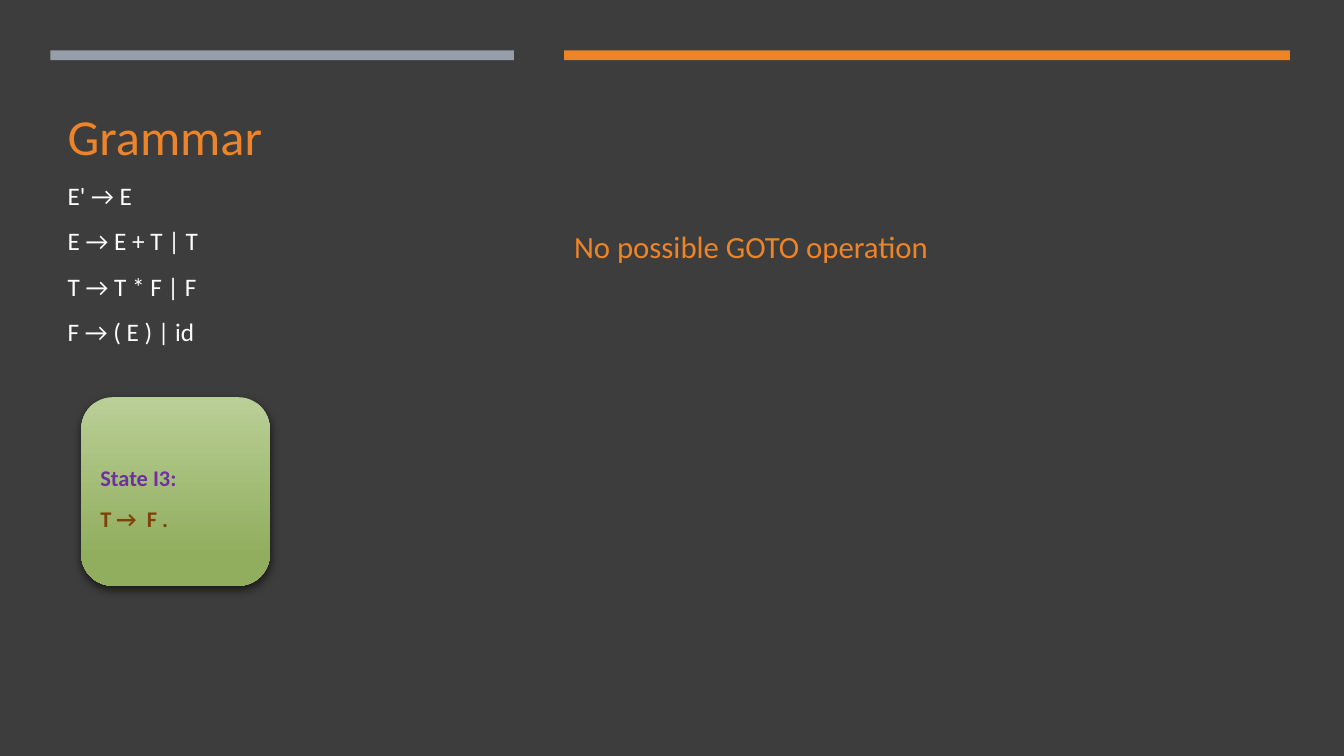
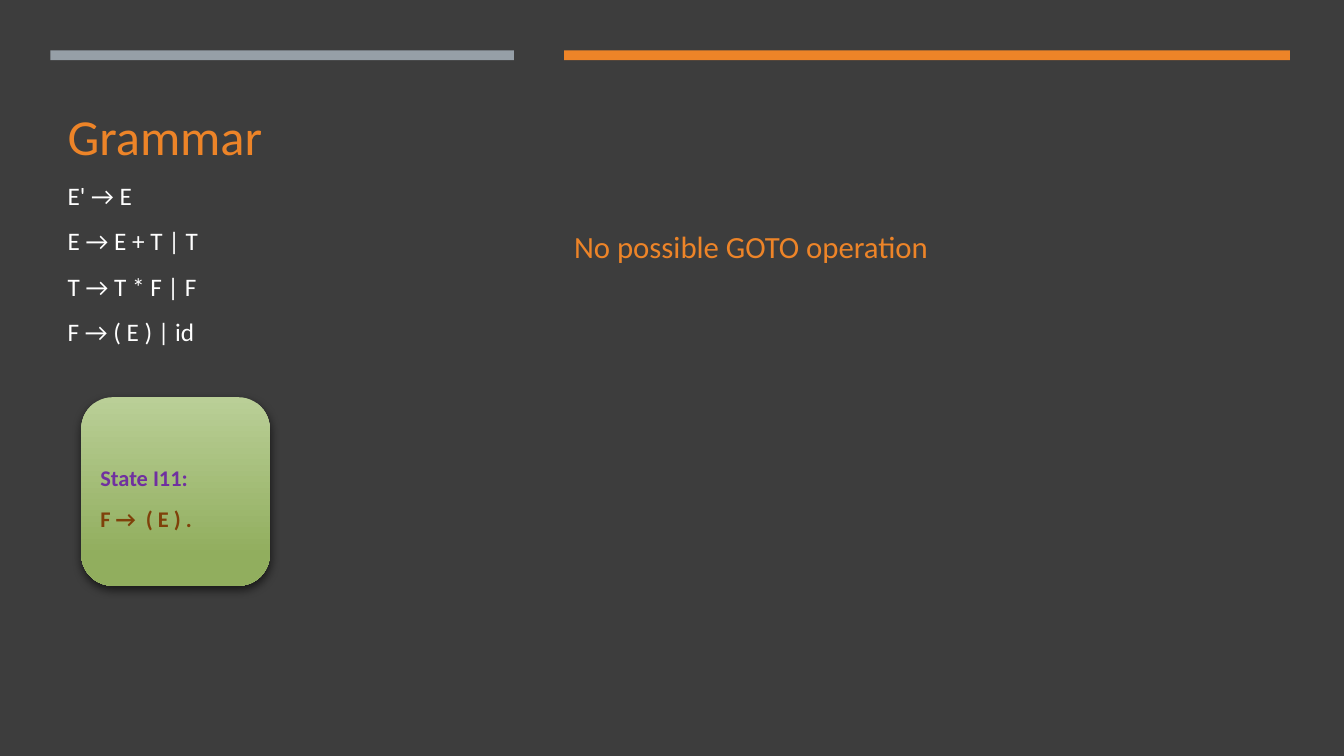
from lxml.etree import SubElement
from pptx import Presentation
from pptx.dml.color import RGBColor
from pptx.enum.shapes import MSO_SHAPE
from pptx.enum.text import MSO_ANCHOR, MSO_AUTO_SIZE, PP_ALIGN
from pptx.oxml.ns import qn
from pptx.util import Cm, Pt

FONT = "Calibri"
COLORS = {
    "background": "3D3D3D",
    "accent": "ED8428",
    "gray": "969FA7",
    "text": "FFFFFF",
    "state": "7030A0",
    "item": "7F410A",
    "card_top": "BACF97",
    "card_bottom": "91AE5E",
    "shadow": "000000",
}
HEADING = "Grammar"
RULES = ["E' → E", "E → E + T | T", "T → T * F | F", "F → ( E ) | id"]
MESSAGE = "No possible GOTO operation"
STATES = [("State I3:", "T →  F ."), ("State I11:", "F →  ( E ) .")]

BANDS = [(1.27, 11.68, "gray"), (14.22, 18.29, "accent")]
BAND_TOP, BAND_HEIGHT = 1.27, 0.25
TITLE_AREA = (1.45, 1.52, 11.28, 7.57)
MESSAGE_AREA = (14.22, 1.78, 19.35, 8.38)
CARD_AREA = (2.05, 10.01, 4.75, 4.75)


def color(name):
    return RGBColor.from_string(COLORS[name])


def prepare(frame):
    frame.word_wrap = True
    frame.auto_size = MSO_AUTO_SIZE.NONE
    frame.vertical_anchor = MSO_ANCHOR.MIDDLE


def next_para(frame, first):
    para = frame.paragraphs[0] if first else frame.add_paragraph()
    para.alignment = PP_ALIGN.LEFT
    para.line_spacing = 1.5
    return para


def add_span(para, text, size, name, bold=False):
    span = para.add_run()
    span.text = text
    span.font.name = FONT
    span.font.size = Pt(size)
    span.font.bold = bold
    span.font.color.rgb = color(name)


def add_bands(page):
    for left, width, name in BANDS:
        band = page.shapes.add_shape(
            MSO_SHAPE.RECTANGLE, Cm(left), Cm(BAND_TOP), Cm(width), Cm(BAND_HEIGHT))
        band.shadow.inherit = False
        band.fill.solid()
        band.fill.fore_color.rgb = color(name)
        band.line.fill.background()


def fill_title(page):
    title = page.shapes.title
    title.left, title.top, title.width, title.height = map(Cm, TITLE_AREA)
    frame = title.text_frame
    prepare(frame)
    for index, rule in enumerate(RULES):
        para = next_para(frame, index == 0)
        if index == 0:
            add_span(para, HEADING, 36, "accent")
            para.add_line_break()
        add_span(para, rule, 18, "text")


def add_message(page):
    box = page.shapes.add_textbox(*map(Cm, MESSAGE_AREA))
    prepare(box.text_frame)
    para = next_para(box.text_frame, True)
    para.space_after = Pt(6)
    add_span(para, MESSAGE, 22, "accent")


def add_soft_shadow(shape):
    shape.shadow.inherit = False
    effects = shape.element.spPr.find(qn("a:effectLst"))
    shadow = SubElement(effects, qn("a:outerShdw"), blurRad=str(Pt(7)),
                        dist=str(Pt(3)), dir=str(84 * 60000),
                        algn="ctr", rotWithShape="0")
    tone = SubElement(shadow, qn("a:srgbClr"), val=COLORS["shadow"])
    SubElement(tone, qn("a:alpha"), val="60000")


def add_state_card(page, state, item):
    card = page.shapes.add_shape(MSO_SHAPE.ROUNDED_RECTANGLE, *map(Cm, CARD_AREA))
    card.line.fill.background()
    card.fill.gradient()
    card.fill.gradient_angle = 270
    stops = [(0, "card_top"), (0.84, "card_bottom")]
    for stop, (position, name) in zip(card.fill.gradient_stops, stops):
        stop.position = position
        stop.color.rgb = color(name)
    add_soft_shadow(card)
    frame = card.text_frame
    prepare(frame)
    for index, (text, name) in enumerate([(state, "state"), (item, "item")]):
        add_span(next_para(frame, index == 0), text, 16, name, bold=True)


def main():
    deck = Presentation()
    deck.slide_width, deck.slide_height = Cm(33.87), Cm(19.05)
    backdrop = deck.slide_master.background.fill
    backdrop.solid()
    backdrop.fore_color.rgb = color("background")
    for state, item in STATES:
        page = deck.slides.add_slide(deck.slide_layouts[5])
        fill_title(page)
        add_bands(page)
        add_message(page)
        add_state_card(page, state, item)
    deck.save("out.pptx")


if __name__ == "__main__":
    main()
